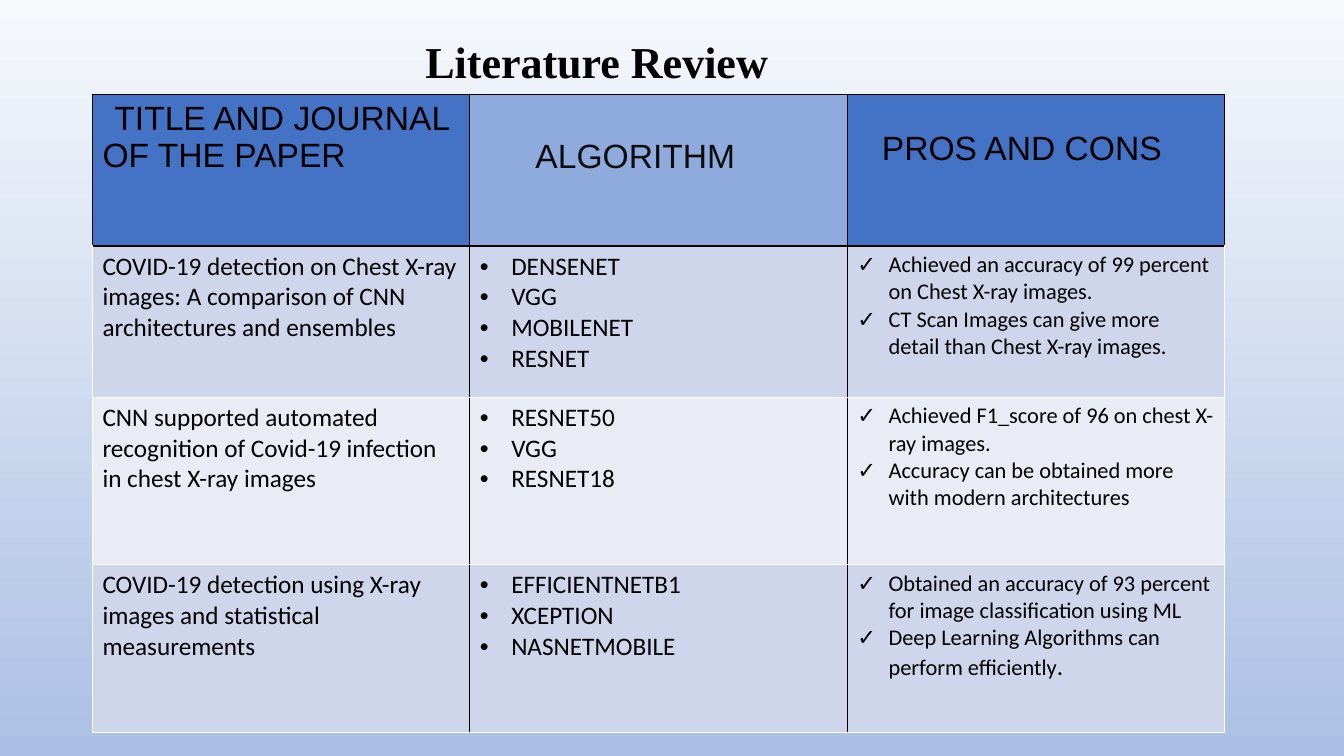
from dataclasses import dataclass

from lxml.etree import SubElement
from pptx import Presentation
from pptx.dml.color import RGBColor
from pptx.enum.text import MSO_ANCHOR
from pptx.oxml import parse_xml
from pptx.oxml.ns import nsdecls, qn
from pptx.util import Cm, Pt


@dataclass(frozen=True)
class Theme:
    black: str = "000000"
    white: str = "FFFFFF"
    near_black: str = "0D0D0D"
    header: str = "4472C4"
    header_light: str = "8FAADC"
    bands: tuple[str, str] = ("CFD5EA", "E9EBF5")
    background: tuple[str, str] = ("F6F8FC", "ABC0E4")
    title_font: str = "Times New Roman"
    header_font: str = "Arial"
    body_font: str = "Calibri"
    title_size: float = 31.5
    header_size: float = 24
    body_size: float = 18
    detail_size: float = 16


@dataclass(frozen=True)
class Heading:
    text: str
    fill: str
    color: str
    indent: float
    top: float


@dataclass(frozen=True)
class Paper:
    title: str
    algorithms: tuple[str, ...]
    remarks: tuple[str, ...]
    ending: str = ""


THEME = Theme()
HANGING = 0.79
COLUMN_WIDTH = 9.51
ROW_HEIGHTS = (3.81, 3.81, 4.22, 4.22)

HEADINGS = (
    Heading("TITLE AND JOURNAL OF THE PAPER", THEME.header, THEME.black, 0.3, 0.13),
    Heading("ALGORITHM", THEME.header_light, THEME.near_black, 1.4, 1.08),
    Heading("PROS AND CONS", THEME.header, THEME.black, 0.62, 0.88),
)

PAPERS = (
    Paper(
        "COVID-19 detection on Chest X-ray images: A comparison of CNN architectures and ensembles",
        ("DENSENET", "VGG", "MOBILENET", "RESNET"),
        ("Achieved an accuracy of 99 percent on Chest X-ray images.",
         "CT Scan Images can give more detail than Chest X-ray images."),
    ),
    Paper(
        "CNN supported automated recognition of Covid-19 infection in chest X-ray images",
        ("RESNET50", "VGG", "RESNET18"),
        ("Achieved F1_score of 96 on chest X-ray images.",
         "Accuracy can be obtained more with modern architectures"),
    ),
    Paper(
        "COVID-19 detection using X-ray images and statistical measurements",
        ("EFFICIENTNETB1", "XCEPTION", "NASNETMOBILE"),
        ("Obtained an accuracy of 93 percent for image classification using ML",
         "Deep Learning Algorithms can perform efficiently"),
        ending=".",
    ),
)


def write(para, text: str, *, font: str = THEME.body_font, size: float = THEME.body_size,
          color: str = THEME.black, bold: bool = False, indent: float = 0,
          bullet: str = "") -> None:
    span = para.add_run()
    span.text = text
    span.font.name = font
    span.font.size = Pt(size)
    span.font.bold = bold
    span.font.color.rgb = RGBColor.from_string(color)
    properties = para._p.get_or_add_pPr()
    if indent:
        properties.set("indent", str(Cm(indent)))
    if bullet:
        properties.set("marL", str(Cm(HANGING)))
        properties.set("indent", str(-Cm(HANGING)))
        SubElement(properties, qn("a:buFont")).set("typeface", THEME.header_font)
        SubElement(properties, qn("a:buChar")).set("char", bullet)


def write_list(cell, items: tuple[str, ...], bullet: str, size: float) -> None:
    frame = cell.text_frame
    for index, item in enumerate(items):
        para = frame.add_paragraph() if index else frame.paragraphs[0]
        write(para, item, size=size, bullet=bullet)


def paint_cell(cell, fill: str, left: str, right: str, top: str, bottom: str) -> None:
    cell.fill.solid()
    cell.fill.fore_color.rgb = RGBColor.from_string(fill)
    properties = cell._tc.get_or_add_tcPr()
    sides = {"L": left, "R": right, "T": top, "B": bottom}
    for index, (side, color) in enumerate(sides.items()):
        properties.insert(index, parse_xml(
            f'<a:ln{side} w="{Pt(1)}" {nsdecls("a")}><a:solidFill>'
            f'<a:srgbClr val="{color}"/></a:solidFill></a:ln{side}>'))


def paint_background(page) -> None:
    fill = page.background.fill
    fill.gradient()
    fill.gradient_angle = 270
    for position, (stop, color) in enumerate(zip(fill.gradient_stops, THEME.background)):
        stop.position = position
        stop.color.rgb = RGBColor.from_string(color)


def add_title(page, text: str) -> None:
    box = page.shapes.add_textbox(Cm(0.2), Cm(0.84), Cm(29.21), Cm(1.55))
    frame = box.text_frame
    frame.word_wrap = True
    frame.vertical_anchor = MSO_ANCHOR.MIDDLE
    frame.margin_left = Cm(10.52)
    para = frame.paragraphs[0]
    para.line_spacing = 0.9
    write(para, text, font=THEME.title_font, size=THEME.title_size, bold=True)


def add_review_table(page) -> None:
    count = len(HEADINGS)
    table = page.shapes.add_table(
        len(ROW_HEIGHTS), count, Cm(2.33), Cm(2.39),
        Cm(COLUMN_WIDTH * count), Cm(sum(ROW_HEIGHTS))).table
    table.first_row = False
    table.horz_banding = False
    for column in table.columns:
        column.width = Cm(COLUMN_WIDTH)
    for row, height in zip(table.rows, ROW_HEIGHTS):
        row.height = Cm(height)

    for column, heading in enumerate(HEADINGS):
        cell = table.cell(0, column)
        cell.margin_top = Cm(heading.top)
        write(cell.text_frame.paragraphs[0], heading.text, font=THEME.header_font,
              size=THEME.header_size, color=heading.color, indent=heading.indent)
        paint_cell(cell, heading.fill, *[THEME.black] * 4)

    for row, paper in enumerate(PAPERS, start=1):
        title, algorithms, remarks = (table.cell(row, column) for column in range(count))
        write(title.text_frame.paragraphs[0], paper.title)
        write_list(algorithms, paper.algorithms, "•", THEME.body_size)
        write_list(remarks, paper.remarks, "✓", THEME.detail_size)
        if paper.ending:
            write(remarks.text_frame.paragraphs[-1], paper.ending)
        for column, cell in enumerate((title, algorithms, remarks)):
            paint_cell(
                cell, THEME.bands[(row - 1) % 2],
                left=THEME.black if column else THEME.white,
                right=THEME.black if column < count - 1 else THEME.white,
                top=THEME.black if row == 1 else THEME.white,
                bottom=THEME.white)


def main() -> None:
    deck = Presentation()
    deck.slide_width = Cm(33.87)
    deck.slide_height = Cm(19.05)
    page = deck.slides.add_slide(deck.slide_layouts[6])
    paint_background(page)
    add_title(page, "Literature Review")
    add_review_table(page)
    deck.save("out.pptx")


if __name__ == "__main__":
    main()
